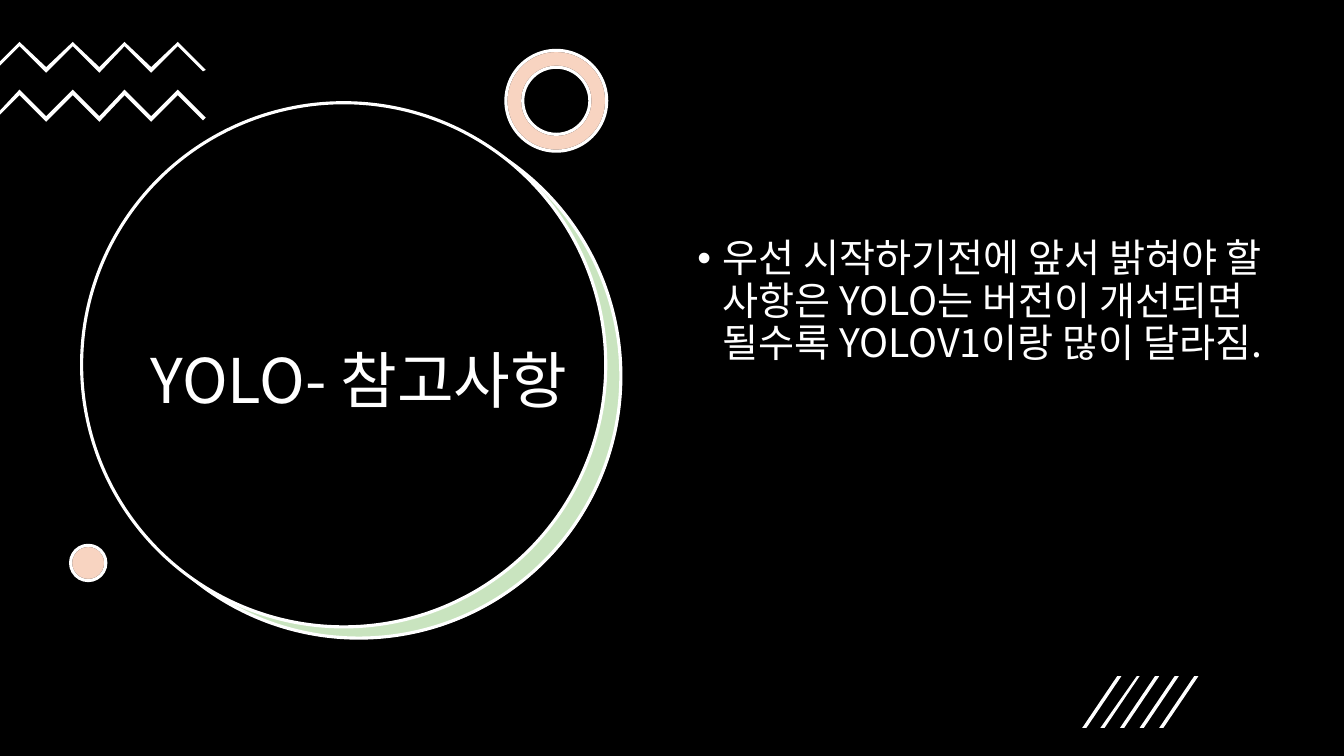
from lxml.etree import SubElement
from pptx import Presentation
from pptx.dml.color import RGBColor
from pptx.enum.shapes import MSO_SHAPE
from pptx.enum.text import MSO_ANCHOR, PP_ALIGN
from pptx.oxml.ns import qn
from pptx.util import Pt

TITLE = "YOLO- 참고사항"
NOTES = ["우선 시작하기전에 앞서 밝혀야 할 사항은 YOLO는 버전이 개선되면 될수록 YOLOV1이랑 많이 달라짐."]
FONT = "Noto Sans CJK KR"
BLACK, WHITE, GREEN, ORANGE = "000000", "FFFFFF", "4EA72E", "E97132"
WIDTH, HEIGHT = 960, 540
OUTLINE = 2.25

# Round parts: preset, left, top, diameter, fill, opacity %, outline
BIG_CIRCLES = [
    (MSO_SHAPE.OVAL, 69.8, 82, 374.4, WHITE, 100, None),
    (MSO_SHAPE.OVAL, 69.1, 81.4, 374.4, GREEN, 30, WHITE),
    (MSO_SHAPE.OVAL, 58.3, 73.4, 374.4, BLACK, 100, WHITE),
]
SMALL_ACCENTS = [
    (preset, left, top, size, fill, opacity, line)
    for preset, left, top, size in [(MSO_SHAPE.DONUT, 361.4, 36, 72),
                                    (MSO_SHAPE.OVAL, 50.4, 389.5, 25.2)]
    for fill, opacity, line in [(WHITE, 100, BLACK), (ORANGE, 30, WHITE)]
]
RING_THICKNESS = 0.167

# Zigzags, measured from the top of each line
ZIGZAG_TOPS = [29.5, 64.3]
ZIGZAG_START, ZIGZAG_STEP, ZIGZAG_WEIGHT, ZIGZAG_TURNS = 14.4, 18.72, 3.5, 7

# Slanted stripes
STRIPE_COUNT, STRIPE_LEFT, STRIPE_GAP = 5, 772.6, 13.8
STRIPE_TOP, STRIPE_BOTTOM, STRIPE_SLANT, STRIPE_WEIGHT = 483.4, 520.3, 25.1, 2.9


def color(hex_value):
    return RGBColor.from_string(hex_value)


def paint(shape, fill, opacity=100, line=None):
    shape.shadow.inherit = False
    shape.fill.solid()
    shape.fill.fore_color.rgb = color(fill)
    if opacity < 100:
        rgb = shape.fill._xPr.find(qn("a:solidFill"))[0]
        SubElement(rgb, qn("a:alpha"), val=str(opacity * 1000))
    if line:
        shape.line.color.rgb = color(line)
        shape.line.width = Pt(OUTLINE)
    else:
        shape.line.fill.background()


def add_round(preset, left, top, size, fill, opacity, line):
    part = slide.shapes.add_shape(preset, Pt(left), Pt(top), Pt(size), Pt(size))
    if preset == MSO_SHAPE.DONUT:
        part.adjustments[0] = RING_THICKNESS
    paint(part, fill, opacity, line)


def add_outlines(outlines):
    group = slide.shapes.add_group_shape()
    for points in outlines:
        builder = group.shapes.build_freeform(*points[0], scale=Pt(1))
        builder.add_line_segments(points[1:], close=True)
        paint(builder.convert_to_shape(), WHITE)


def zigzag(top):
    upper = [(ZIGZAG_START + i * ZIGZAG_STEP, top + i % 2 * ZIGZAG_STEP)
             for i in range(ZIGZAG_TURNS)]
    lower = [(x, y + ZIGZAG_WEIGHT) for x, y in reversed(upper)]
    right_end = [(146.7, top + 20), (144.7, top + 21.7)]
    left_end = [(0, top + 17.3), (0, top + 14.4)]
    return upper + right_end + lower + left_end


def stripe(index):
    left = STRIPE_LEFT + index * STRIPE_GAP
    return [(left + STRIPE_WEIGHT, STRIPE_BOTTOM), (left, STRIPE_BOTTOM),
            (left + STRIPE_SLANT, STRIPE_TOP),
            (left + STRIPE_SLANT + STRIPE_WEIGHT, STRIPE_TOP)]


def fill_placeholder(holder, box, lines, size, anchor):
    holder.left, holder.top, holder.width, holder.height = map(Pt, box)
    frame = holder.text_frame
    frame.text = "\n".join(lines)
    frame.word_wrap = True
    frame.vertical_anchor = anchor
    for paragraph in frame.paragraphs:
        paragraph.line_spacing = 0.9
        paragraph.font.size = Pt(size)
        paragraph.font.color.rgb = color(WHITE)
        paragraph.font.name = FONT
        SubElement(paragraph.font._element, qn("a:ea"), typeface=FONT)
    slide.shapes._spTree.append(holder._element)  # bring to the front
    return frame.paragraphs


presentation = Presentation()
presentation.slide_width, presentation.slide_height = Pt(WIDTH), Pt(HEIGHT)
slide = presentation.slides.add_slide(presentation.slide_layouts[1])
title, body = slide.placeholders

# Backdrop and the large title circle
backdrop = slide.shapes.add_shape(MSO_SHAPE.RECTANGLE, 0, 0, Pt(WIDTH), Pt(HEIGHT))
paint(backdrop, BLACK)
for circle in BIG_CIRCLES:
    add_round(*circle)
for heading in fill_placeholder(title, (87.1, 147.6, 338.4, 253.4), [TITLE], 44,
                                MSO_ANCHOR.MIDDLE):
    heading.alignment = PP_ALIGN.CENTER

# Zigzags, ring and dot
add_outlines([zigzag(top) for top in ZIGZAG_TOPS])
for accent in SMALL_ACCENTS:
    add_round(*accent)

# Bulleted notes
for note in fill_placeholder(body, (491, 167, 432, 264.2), NOTES, 28, MSO_ANCHOR.TOP):
    note.space_before = Pt(10)
    properties = note._p.get_or_add_pPr()
    properties.set("marL", str(Pt(18)))
    properties.set("indent", str(-Pt(18)))
    bullet = properties.makeelement(qn("a:buChar"), {"char": "•"})
    properties.find(qn("a:defRPr")).addprevious(bullet)

# Stripes in the lower right corner
add_outlines([stripe(i) for i in range(STRIPE_COUNT)])

presentation.save("out.pptx")
